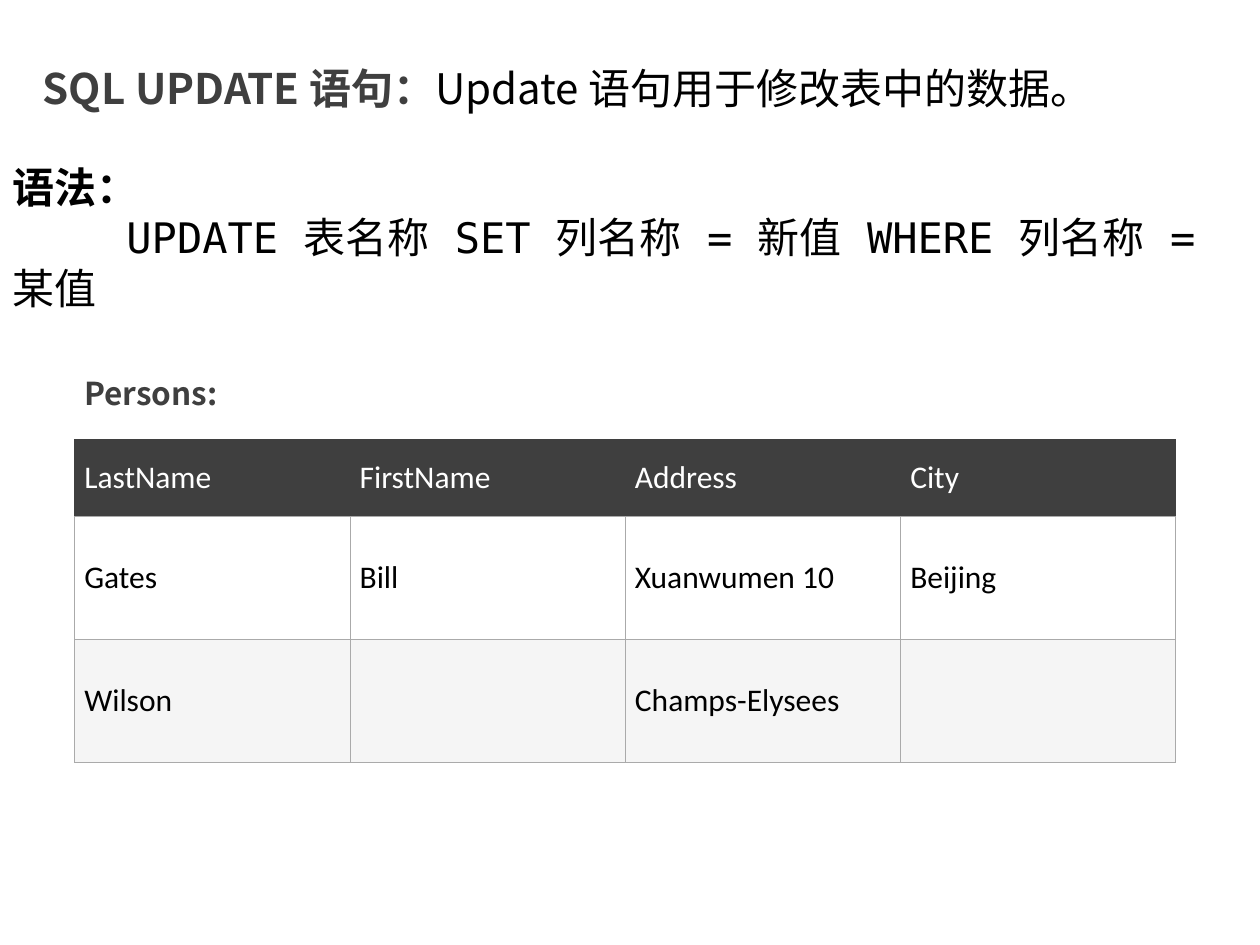
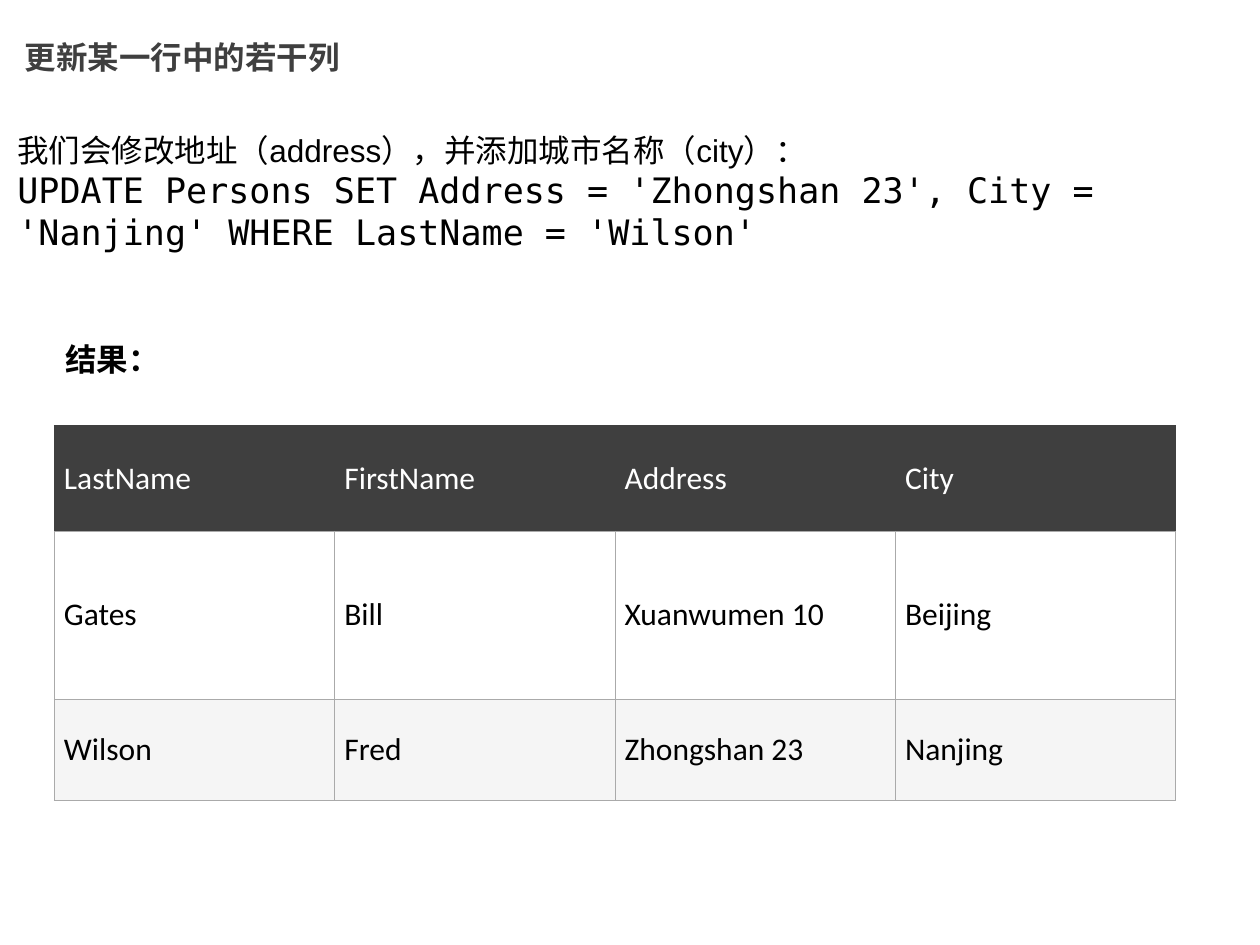
import pptx
import pptx.dml.color
import pptx.enum.text
import pptx.oxml
import pptx.oxml.ns
import pptx.util
from lxml import etree

Cm = pptx.util.Cm
Pt = pptx.util.Pt

# Shared colours, fonts and formats
COLORS = {
    "heading": "3F3F3F",
    "text": "000000",
    "header_text": "FFFFFF",
    "row": "FFFFFF",
    "band": "F5F5F5",
    "border": "AAAAAA",
}
HEADING_FONT = "Noto Sans CJK SC"
BODY_FONT = "Arial"
CODE_FONT = "DejaVu Sans Mono"
TABLE_FONT = "Calibri"

FRAME_FORMAT = {
    "margin_left": Cm(0.25), "margin_right": Cm(0.25),
    "margin_top": Cm(0.13), "margin_bottom": Cm(0.13),
    "vertical_anchor": pptx.enum.text.MSO_ANCHOR.TOP,
    "auto_size": pptx.enum.text.MSO_AUTO_SIZE.NONE,
}
PARAGRAPH_FORMAT = {
    "alignment": pptx.enum.text.PP_ALIGN.LEFT,
    "space_before": Pt(0), "space_after": Pt(0), "line_spacing": 1.0,
}
CELL_FORMAT = {
    "margin_left": Cm(0.2), "margin_right": Cm(0.2),
    "margin_top": Cm(0.13), "margin_bottom": Cm(0.13),
    "vertical_anchor": pptx.enum.text.MSO_ANCHOR.MIDDLE,
}
COLUMN_NAMES = ["LastName", "FirstName", "Address", "City"]
FIRST_PERSON = ["Gates", "Bill", "Xuanwumen 10", "Beijing"]

# Each run is (text, font, size, colour, bold); boxes are left, top, width, height in cm
SLIDES = [
    {
        "title": [("SQL UPDATE 语句：", HEADING_FONT, 24, "heading", True),
                  ("Update 语句用于修改表中的数据。", HEADING_FONT, 24, "text", False)],
        "title_box": (0.61, 1.12, 23.5, 2.29),
        "title_wrap": True,
        "body": [(0, ("语法：", BODY_FONT, 24, "text", True)),
                 (2.3, ("UPDATE 表名称 SET 列名称 = 新值 WHERE 列名称 = 某值",
                        CODE_FONT, 24, "text", False))],
        "body_box": (0, 3.12, 25.4, 2.29),
        "label": ("Persons:", HEADING_FONT, 18, "heading", True),
        "label_box": (1.45, 7.42, 3.18, 1.02),
        "table_box": (1.5, 8.86, 22.2, 6.5),
        "row_heights": [1.55, 2.48, 2.47],
        "last_person": ["Wilson", "", "Champs-Elysees", ""],
    },
    {
        "title": [("更新某一行中的若干列", HEADING_FONT, 18, "heading", True)],
        "title_box": (0.25, 0.64, 6.86, 1.02),
        "title_wrap": False,
        "body": [(0, ("我们会修改地址（address），并添加城市名称（city）：",
                      BODY_FONT, 18, "text", False)),
                 (0, ("UPDATE Persons SET Address = 'Zhongshan 23', City = 'Nanjing' "
                      "WHERE LastName = 'Wilson'", CODE_FONT, 20, "text", False))],
        "body_box": (0.1, 2.51, 25.2, 2.72),
        "label": ("结果：", BODY_FONT, 18, "text", True),
        "label_box": (1.07, 6.73, 2.41, 1.02),
        "table_box": (1.09, 8.58, 22.61, 7.55),
        "row_heights": [2.12, 3.4, 2.03],
        "last_person": ["Wilson", "Fred", "Zhongshan 23", "Nanjing"],
    },
]


def write_paragraph(paragraph, runs, indent=0):
    """Fill a plain, left-aligned paragraph with formatted runs."""
    for name, value in PARAGRAPH_FORMAT.items():
        setattr(paragraph, name, value)
    properties = paragraph._p.get_or_add_pPr()
    properties.set("marL", "0")
    properties.set("indent", str(Cm(indent)))
    etree.SubElement(properties, pptx.oxml.ns.qn("a:buNone"))
    for text, font_name, size, color, bold in runs:
        run = paragraph.add_run()
        run.text = text
        font_format = {"name": font_name, "size": Pt(size), "bold": bold}
        for name, value in font_format.items():
            setattr(run.font, name, value)
        run.font.color.rgb = pptx.dml.color.RGBColor.from_string(COLORS[color])
        east_asian = etree.SubElement(run._r.get_or_add_rPr(), pptx.oxml.ns.qn("a:ea"))
        east_asian.set("typeface", font_name)


def place_frame(shape, box, wrap):
    """Move a text shape and give its frame the shared format."""
    for name, value in zip(("left", "top", "width", "height"), box):
        setattr(shape, name, Cm(value))
    for name, value in FRAME_FORMAT.items():
        setattr(shape.text_frame, name, value)
    shape.text_frame.word_wrap = wrap
    return shape.text_frame


presentation = pptx.Presentation()
presentation.slide_width = Cm(25.4)
presentation.slide_height = Cm(19.05)

for content in SLIDES:
    slide = presentation.slides.add_slide(presentation.slide_layouts[1])

    # Title
    frame = place_frame(slide.shapes.title, content["title_box"], content["title_wrap"])
    write_paragraph(frame.paragraphs[0], content["title"])

    # Statement
    frame = place_frame(slide.placeholders[1], content["body_box"], True)
    for index, (indent, run) in enumerate(content["body"]):
        paragraph = frame.add_paragraph() if index else frame.paragraphs[0]
        write_paragraph(paragraph, [run], indent)

    # Table label
    label = slide.shapes.add_textbox(0, 0, Cm(1), Cm(1))
    frame = place_frame(label, content["label_box"], False)
    write_paragraph(frame.paragraphs[0], [content["label"]])

    # Persons table
    rows = [COLUMN_NAMES, FIRST_PERSON, content["last_person"]]
    table = slide.shapes.add_table(
        len(rows), len(COLUMN_NAMES), *map(Cm, content["table_box"])).table
    table.first_row = table.horz_banding = False
    for row, height in zip(table.rows, content["row_heights"]):
        row.height = Cm(height)
    for row_index, values in enumerate(rows):
        fill_color = ("heading", "row", "band")[row_index]
        text_color = "text" if row_index else "header_text"
        for column_index, value in enumerate(values):
            cell = table.cell(row_index, column_index)
            for name, setting in CELL_FORMAT.items():
                setattr(cell, name, setting)
            for side in "LRTB":
                header_edge = row_index == 0 and side != "B"
                color = COLORS["heading" if header_edge else "border"]
                cell._tc.get_or_add_tcPr().append(pptx.oxml.parse_xml(
                    f'<a:ln{side} {pptx.oxml.ns.nsdecls("a")} w="{Pt(0.28)}"><a:solidFill>'
                    f'<a:srgbClr val="{color}"/></a:solidFill></a:ln{side}>'))
            cell.fill.solid()
            cell.fill.fore_color.rgb = pptx.dml.color.RGBColor.from_string(COLORS[fill_color])
            if value:
                write_paragraph(cell.text_frame.paragraphs[0],
                                [(value, TABLE_FONT, 18, text_color, False)])

presentation.save("out.pptx")
